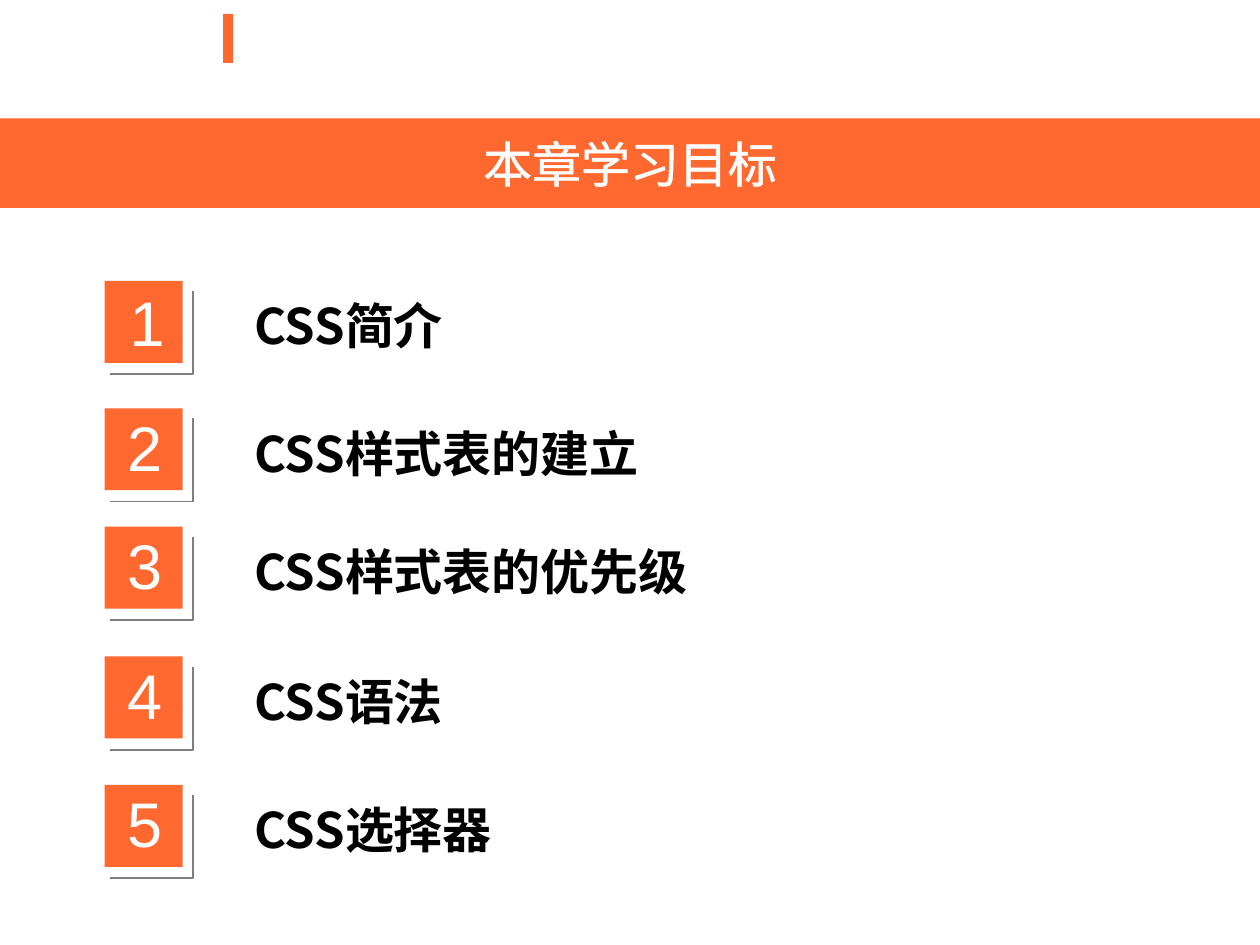
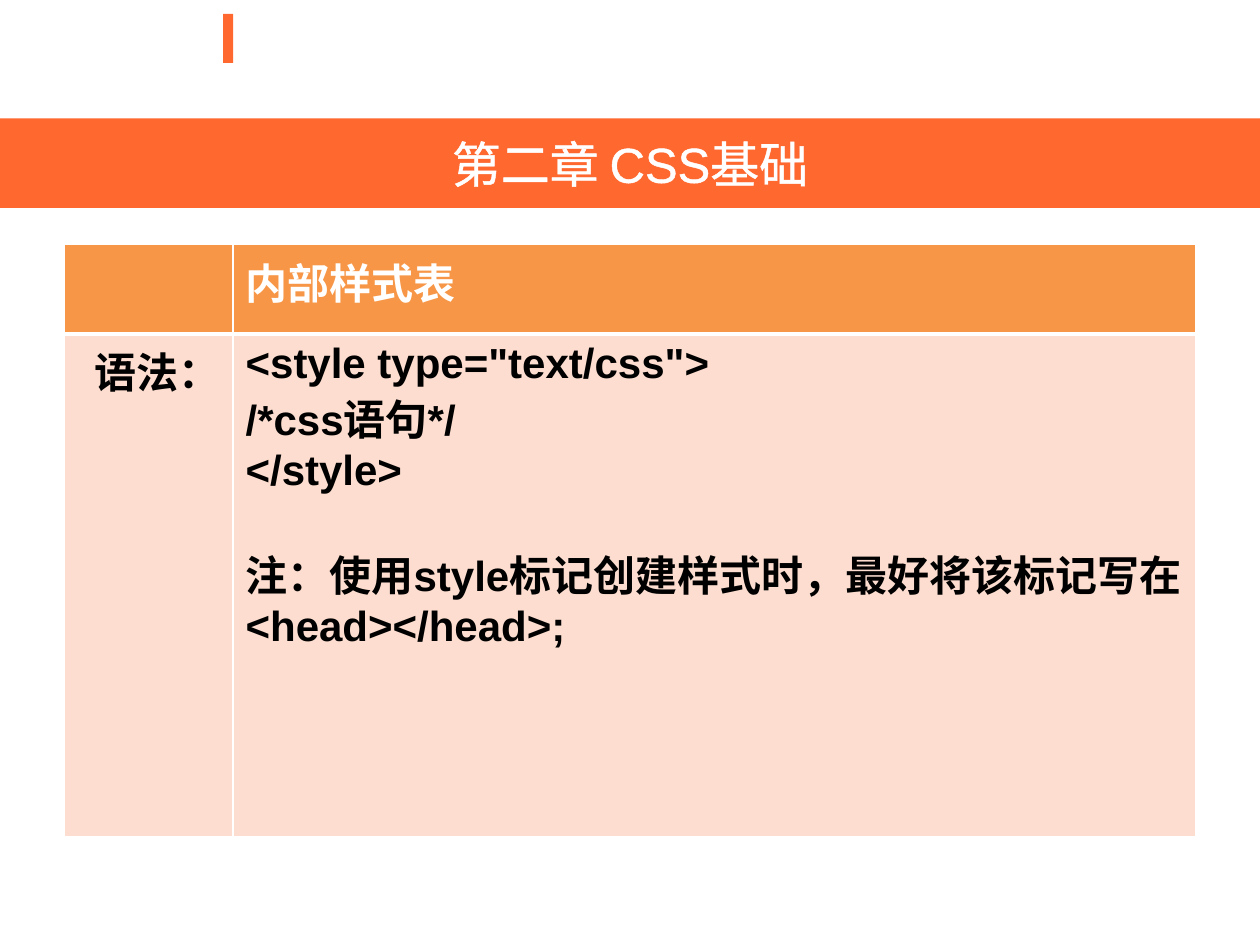
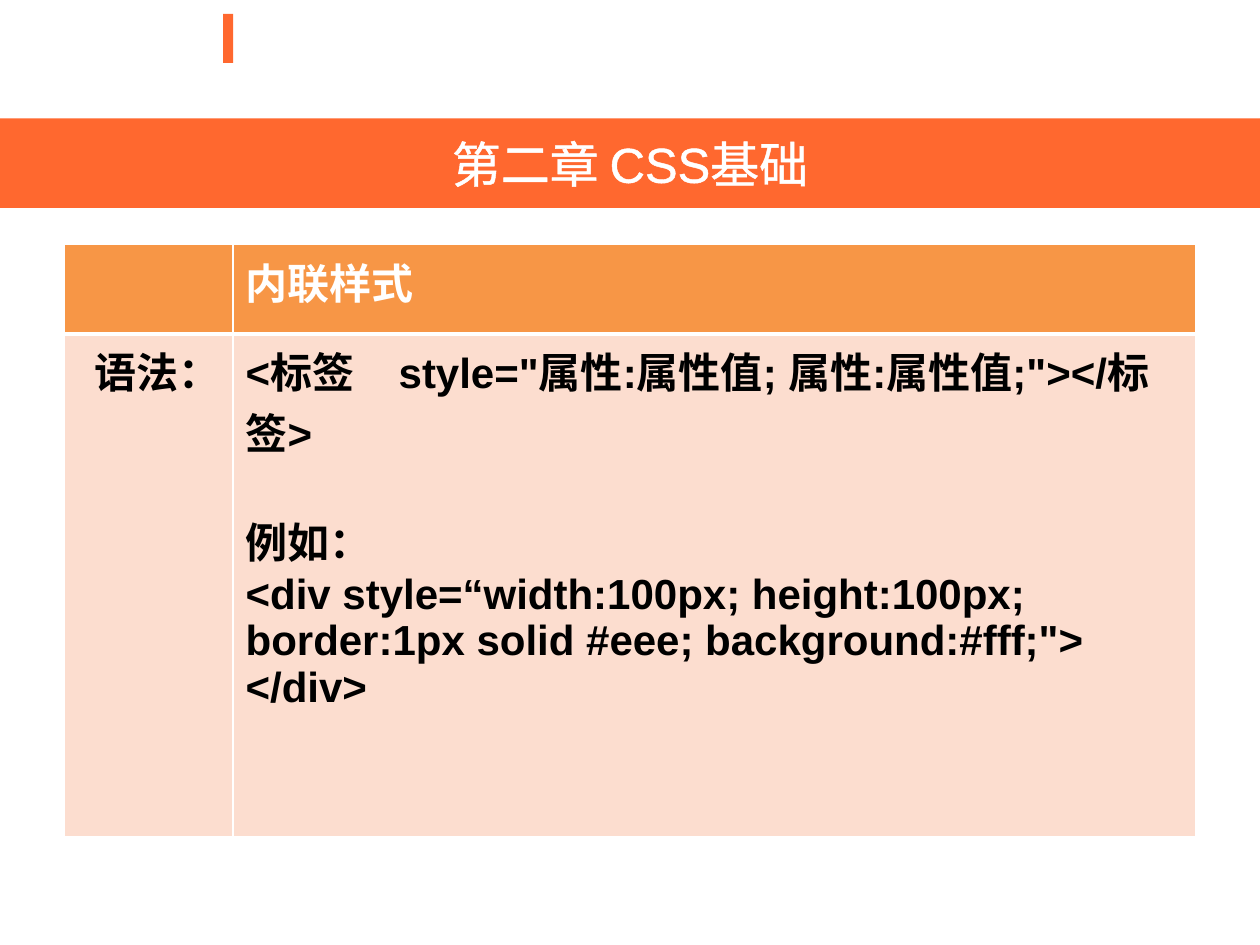
from lxml.etree import SubElement
from pptx import Presentation
from pptx.dml.color import RGBColor
from pptx.enum.shapes import MSO_SHAPE
from pptx.enum.text import MSO_ANCHOR, PP_ALIGN
from pptx.oxml import parse_xml
from pptx.oxml.ns import nsdecls, qn
from pptx.util import Inches, Pt

HEX = {
    "brand": "FF682F",
    "head": "F79646",
    "body": "FCDDCF",
    "rule": "7F7F7F",
    "white": "FFFFFF",
    "black": "000000",
}
LATIN, HAN = "Arial", "Noto Sans CJK SC"

# Font values for each role, with the colour name
TITLE = {"size": Pt(28), "name": LATIN}, "white"
DIGIT = {"size": Pt(36), "name": LATIN}, "white"
GOAL = {"size": Pt(28), "name": HAN, "bold": True}, "black"
HEAD = {"size": Pt(24), "name": LATIN, "bold": True}, "white"
CODE = {"size": Pt(24), "name": LATIN, "bold": True}, "black"

CHAPTER = "第二章 CSS基础"
BREAK = Pt(27.5)  # space before a new block of lines
WIDE = 20  # extra points after a widened space

# Goals: top, label width, text
GOALS = [
    (2.23, 7.69, "CSS简介"),
    (3.24, 7.69, "CSS样式表的建立"),
    (4.18, 7.26, "CSS样式表的优先级"),
    (5.21, 7.26, "CSS语法"),
    (6.23, 7.26, "CSS选择器"),
]

# Table lines: space before, then the runs as (text, letter spacing)
INNER = [
    (0, [('<style type="text/css">', 0)]),
    (0, [("/*css语句*/", 0)]),
    (0, [("</style>", 0)]),
    (BREAK, [("注：使用style标记创建样式时，最好将该标记写在<head></head>;", 0)]),
]
INLINE = [
    (0, [("<标签", 0), (" ", WIDE), ('style="属性:属性值; 属性:属性值;"></标签>', 0)]),
    (BREAK, [("例如：", 0)]),
    (0, [('<div style=“width:100px; height:100px; border:1px solid #eee; background:#fff;">', 0)]),
    (0, [("</div>", 0)]),
]


def rgb(name):
    return RGBColor.from_string(HEX[name])


def box(x, y, w, h):
    return [Inches(v) for v in (x, y, w, h)]


def add_run(para, text, look, gap=0):
    form, color = look
    run = para.add_run()
    run.text = text
    for key, value in form.items():
        setattr(run.font, key, value)
    run.font.color.rgb = rgb(color)
    props = run.font._element
    SubElement(props, qn("a:ea"), typeface=HAN)
    if gap:
        props.set("spc", str(gap * 100))
    return run


def add_rect(slide, *area):
    rect = slide.shapes.add_shape(MSO_SHAPE.RECTANGLE, *box(*area))
    rect.shadow.inherit = False
    rect.fill.solid()
    rect.fill.fore_color.rgb = rgb("brand")
    rect.line.fill.background()
    return rect


def add_text(slide, text, look, *area):
    frame = slide.shapes.add_textbox(*box(*area)).text_frame
    frame.word_wrap = True
    add_run(frame.paragraphs[0], text, look)


def add_slide(deck, title):
    """Blank slide with the top mark and the title band."""
    slide = deck.slides.add_slide(deck.slide_layouts[6])
    add_rect(slide, 1.77, 0.11, 0.08, 0.39)
    frame = add_rect(slide, 0, 0.94, 10, 0.71).text_frame
    frame.vertical_anchor = MSO_ANCHOR.MIDDLE
    para = frame.paragraphs[0]
    para.alignment = PP_ALIGN.CENTER
    run = add_run(para, title, TITLE)
    run.font._element.insert(0, make_line("ln", 1.45))
    return slide


def make_line(tag, width):
    return parse_xml(
        f'<a:{tag} {nsdecls("a")} w="{Pt(width)}"><a:solidFill>'
        f'<a:srgbClr val="{HEX["white"]}"/></a:solidFill></a:{tag}>'
    )


def add_corner(slide, top):
    """Thin corner line below and right of a number tile."""
    left, right, base = Inches(0.87), Inches(1.53), Inches(top + 0.74)
    path = slide.shapes.build_freeform(left, base)
    path.add_line_segments([(right, base), (right, Inches(top + 0.08))], close=False)
    corner = path.convert_to_shape()
    corner.shadow.inherit = False
    corner.fill.background()
    corner.line.color.rgb = rgb("rule")
    corner.line.width = Pt(1)


def add_goal(slide, num, top, width, text):
    left, lift = (0.93, 0.03) if num == 1 else (0.91, 0.05)
    add_rect(slide, 0.83, top, 0.62, 0.65)
    add_text(slide, str(num), DIGIT, left, top - lift, 0.51, 0.71)
    add_corner(slide, top)
    add_text(slide, text, GOAL, 1.92, top + 0.07, width, 0.57)


def style_cell(cell, color, top, base):
    cell.fill.solid()
    cell.fill.fore_color.rgb = rgb(color)
    props = cell._tc.get_or_add_tcPr()
    sides = {"lnL": 1, "lnR": 1, "lnT": top, "lnB": base}
    for spot, (tag, width) in enumerate(sides.items()):
        props.insert(spot, make_line(tag, width))


def add_grid(slide, head, lines):
    """Syntax table: heading row, then label and code."""
    table = slide.shapes.add_table(2, 2, *box(0.51, 1.94, 8.98, 4.7)).table
    table.horz_banding = False
    for col, width in zip(table.columns, (1.34, 7.64)):
        col.width = Inches(width)
    looks = [(0.71, "head", 1, 3), (3.99, "body", 3, 1)]
    for row, (high, *look) in zip(table.rows, looks):
        row.height = Inches(high)
        for cell in row.cells:
            style_cell(cell, *look)

    # Heading and label
    add_run(table.cell(0, 1).text_frame.paragraphs[0], head, HEAD)
    label = table.cell(1, 0).text_frame.paragraphs[0]
    label.alignment = PP_ALIGN.RIGHT
    add_run(label, "语法：", CODE)

    # Code lines
    frame = table.cell(1, 1).text_frame
    for spot, (space, runs) in enumerate(lines):
        para = frame.add_paragraph() if spot else frame.paragraphs[0]
        para.space_before = space
        for text, gap in runs:
            add_run(para, text, CODE, gap)


def main():
    deck = Presentation()
    deck.slide_width, deck.slide_height = Inches(10), Inches(7.5)

    # Goals
    slide = add_slide(deck, "本章学习目标")
    for num, goal in enumerate(GOALS, 1):
        add_goal(slide, num, *goal)

    # Syntax
    for head, lines in (("内部样式表", INNER), ("内联样式", INLINE)):
        add_grid(add_slide(deck, CHAPTER), head, lines)

    deck.save("out.pptx")


if __name__ == "__main__":
    main()
